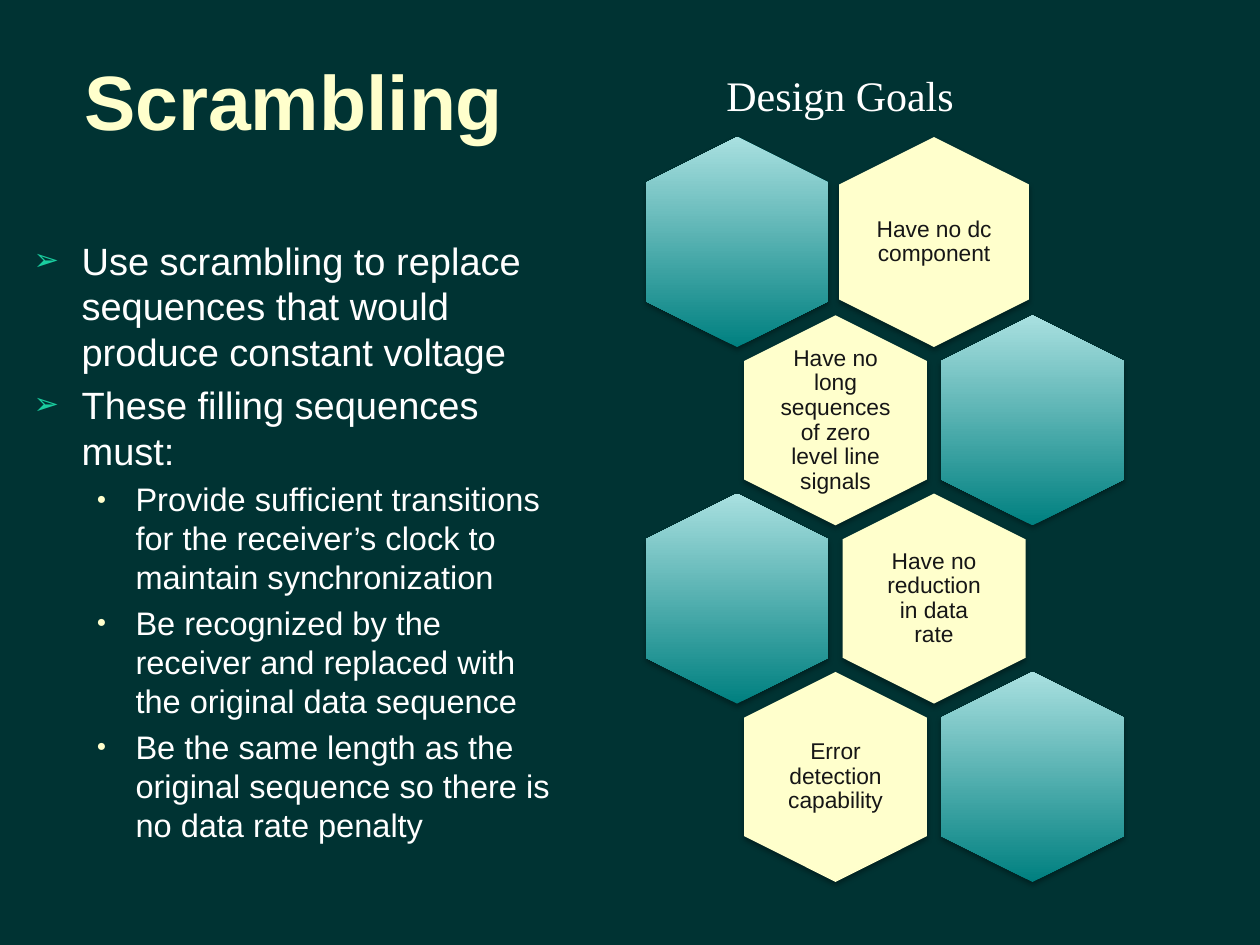
from lxml.etree import SubElement
from pptx import Presentation
from pptx.dml.color import RGBColor
from pptx.enum.shapes import MSO_SHAPE
from pptx.enum.text import MSO_ANCHOR as Anchor, MSO_AUTO_SIZE as AutoSize, PP_ALIGN as Align
from pptx.oxml.ns import qn
from pptx.util import Emu, Pt

# Content
TITLE = "Scrambling"
GOALS_HEADING = "Design Goals"
BULLETS = [  # level, text
    (0, "Use scrambling to replace sequences that would produce constant voltage"),
    (0, "These filling sequences must:"),
    (1, "Provide sufficient transitions for the receiver’s clock to maintain synchronization"),
    (1, "Be recognized by the receiver and replaced with the original data sequence"),
    (1, "Be the same length as the original sequence so there is no data rate penalty"),
]
GOALS = [  # text, column of the goal, column of the plain hexagon, hexagon breadth
    ("Have no dc component", 2, 0, 190),
    ("Have no long sequences of zero level line signals", 1, 3, 183),
    ("Have no reduction in data rate", 2, 0, 183),
    ("Error detection capability", 1, 3, 183),
]

# Style
BACKGROUND, CREAM, WHITE, INK = "003333", "FFFFCC", "FFFFFF", "161616"
TEAL, PALE_TEAL = "008080", "A9E0E0"
LEVELS = [  # size, left margin, hanging indent, bullet, bullet colour, bullet size in %
    dict(size=21.7, margin=48, hang=48, bullet="➢", color="1ACE9F", percent=80),
    dict(size=18.6, margin=102, hang=39, bullet="●", color=CREAM, percent=50),
]
HEXAGON_LENGTH = 210
FIRST_X, COLUMN_STEP = 737, 98.5
FIRST_Y, ROW_STEP = 242, 178.3


def px(value):
    return Emu(round(value * 914400 / 126))


def rgb(color):
    return RGBColor.from_string(color)


def place(shape, left, top, width, height):
    shape.left, shape.top, shape.width, shape.height = map(px, (left, top, width, height))


def write(paragraph, text, size=13, color=WHITE, font="Arial", bold=False, align=Align.LEFT):
    run = paragraph.add_run()
    run.text = text
    run.font.size, run.font.name, run.font.bold = Pt(size), font, bold
    run.font.color.rgb = rgb(color)
    paragraph.alignment = align


def add_element(parent, tag, **attributes):
    return SubElement(parent, qn(tag), {key: str(value) for key, value in attributes.items()})


def set_bullet(paragraph, style):
    properties = paragraph._p.get_or_add_pPr()
    properties.set("marL", str(px(style["margin"])))
    properties.set("indent", str(-px(style["hang"])))
    add_element(add_element(properties, "a:spcBef"), "a:spcPct", val=20000)
    add_element(add_element(properties, "a:buClr"), "a:srgbClr", val=style["color"])
    add_element(properties, "a:buSzPct", val=style["percent"] * 1000)
    add_element(properties, "a:buFont", typeface="Arial")
    add_element(properties, "a:buChar", char=style["bullet"])


def add_hexagon(slide, column, row, breadth, fill=None):
    """Add an upright hexagon, teal gradient unless a fill is given; return its centre."""
    x, y = FIRST_X + column * COLUMN_STEP, FIRST_Y + row * ROW_STEP
    shape = slide.shapes.add_shape(
        MSO_SHAPE.HEXAGON, px(x - HEXAGON_LENGTH / 2), px(y - breadth / 2),
        px(HEXAGON_LENGTH), px(breadth))
    shape.rotation = 90
    shape.adjustments[0] = 0.25
    if fill:
        shape.fill.solid()
        shape.fill.fore_color.rgb = rgb(fill)
    else:
        shape.fill.gradient()
        shape.fill.gradient_angle = 90
        for stop, color in zip(shape.fill.gradient_stops, (TEAL, PALE_TEAL)):
            stop.color.rgb = rgb(color)
        shape._element.spPr.find(qn("a:gradFill")).set("rotWithShape", "0")
    shape.line.fill.background()
    shape.shadow.inherit = False
    effects = shape._element.spPr.find(qn("a:effectLst"))
    shadow = add_element(effects, "a:outerShdw", blurRad=Pt(3.1), dist=Pt(1.8),
                         dir=5400000, rotWithShape=0)
    add_element(add_element(shadow, "a:srgbClr", val="000000"), "a:alpha", val=35000)
    return x, y


def add_text_box(slide, left, top, width, height):
    frame = slide.shapes.add_textbox(*map(px, (left, top, width, height))).text_frame
    frame.word_wrap = True
    return frame


def main():
    presentation = Presentation()
    presentation.slide_width, presentation.slide_height = px(1260), px(945)
    slide = presentation.slides.add_slide(presentation.slide_layouts[1])
    slide.background.fill.solid()
    slide.background.fill.fore_color.rgb = rgb(BACKGROUND)

    # Title
    title = slide.shapes.title
    place(title, -273, 21, 1134, 158)
    title.text_frame.vertical_anchor = Anchor.MIDDLE
    write(title.text_frame.paragraphs[0], TITLE, size=44, color=CREAM, bold=True,
          align=Align.CENTER)

    # Bullets
    body = slide.placeholders[1]
    place(body, 21, 231, 557, 614)
    frame = body.text_frame
    frame.auto_size = AutoSize.NONE
    for index, (level, text) in enumerate(BULLETS):
        paragraph = frame.add_paragraph() if index else frame.paragraphs[0]
        paragraph.level = level
        set_bullet(paragraph, LEVELS[level])
        write(paragraph, text, size=LEVELS[level]["size"])

    # Honeycomb of goals
    for row, (text, goal_column, plain_column, breadth) in enumerate(GOALS):
        x, y = add_hexagon(slide, goal_column, row, breadth, fill=CREAM)
        add_hexagon(slide, plain_column, row, 183)
        width = breadth - 59
        frame = add_text_box(slide, x - width / 2, y - 72, width, 144)
        frame.vertical_anchor = Anchor.MIDDLE
        frame.margin_left = frame.margin_right = frame.margin_top = frame.margin_bottom = px(6)
        paragraph = frame.paragraphs[0]
        paragraph.line_spacing = 0.9
        write(paragraph, text, color=INK, align=Align.CENTER)

    # Heading of the honeycomb
    heading = add_text_box(slide, 714, 63, 262, 63)
    write(heading.paragraphs[0], GOALS_HEADING, size=24, font="Times New Roman")

    presentation.save("out.pptx")


if __name__ == "__main__":
    main()
